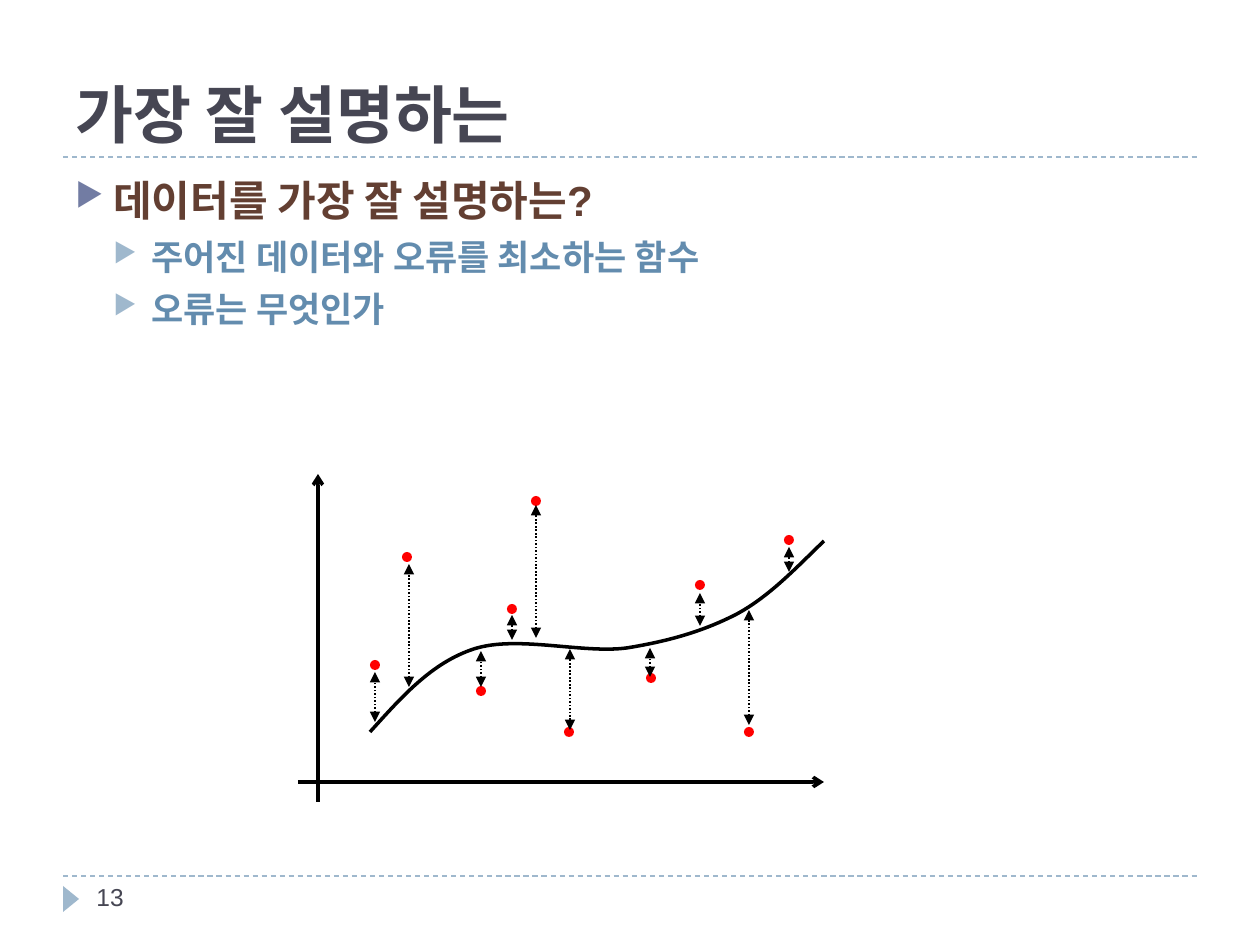
from lxml import etree
from pptx import Presentation
from pptx import util as u
from pptx.dml.color import RGBColor
from pptx.enum import dml, shapes, text
from pptx.oxml import ns

PX = 914400 / 126
FONT = "Arial"
COLORS = {"title": "464653", "lead": "633F32", "sub": "638CAE", "bullet": "727CA3",
          "pale": "9FB8CD", "ink": "000000", "dot": "FF0000"}

TITLE = "가장 잘 설명하는"
PAGE_NUMBER = "13"
# text, level, size, colour, bullet colour, space before
BODY = [
    ("데이터를 가장 잘 설명하는?", 0, 24, "lead", "bullet", 0),
    ("주어진 데이터와 오류를 최소하는 함수", 1, 20, "sub", "pale", 6),
    ("오류는 무엇인가", 1, 20, "sub", "pale", 6),
]
INDENT = 38
RULES = [157, 876]
AXES = [(298, 782, 824, 782), (318, 802, 318, 474)]
DOT = 10
# dot centre x, y; error arrow x, bottom, top
POINTS = [
    (375, 665, 375, 722, 672), (407, 557, 409, 687, 564),
    (481, 691, 481, 687, 651), (512, 609, 512, 640, 615),
    (536, 501, 536, 638, 505), (569, 732, 570, 730, 649),
    (651, 678, 650, 677, 648), (700, 585, 700, 626, 593),
    (749, 732, 749, 725, 610), (789, 540, 789, 572, 547),
]
# start, then two control points and an end for each Bezier segment
CURVE = [(370, 732), (401, 698), (431, 663), (474, 649), (517, 635), (583, 654), (627, 648),
         (670, 641), (704, 631), (737, 614), (770, 596), (796, 568), (824, 541)]


def emu(*lengths):
    return [u.Emu(round(length * PX)) for length in lengths]


def rgb(name):
    return RGBColor.from_string(COLORS[name])


def add_element(parent, tag, **attributes):
    return etree.SubElement(parent, ns.qn(tag), attributes)


def style_font(para, size, color, bold=False):
    for span in para.runs:
        span.font.name, span.font.size, span.font.bold = FONT, u.Pt(size), bold
        span.font.color.rgb = rgb(color)


def add_line(page, ends, color, width, dash=None, head=None, tail=None):
    line = page.shapes.add_connector(shapes.MSO_CONNECTOR.STRAIGHT, *emu(*ends))
    line.line.color.rgb = rgb(color)
    line.line.width = u.Pt(width)
    if dash:
        line.line.dash_style = dash
    properties = line.line._get_or_add_ln()
    for tag, kind in (("a:headEnd", head), ("a:tailEnd", tail)):
        if kind:
            add_element(properties, tag, type=kind)
    add_element(line._element.spPr, "a:effectLst")


def add_solid(page, kind, place, color):
    shape = page.shapes.add_shape(kind, *emu(*place))
    shape.shadow.inherit = False
    shape.fill.solid()
    shape.fill.fore_color.rgb = rgb(color)
    shape.line.fill.background()
    return shape


def add_text_box(page, place):
    box = page.shapes.add_textbox(*emu(*place))
    box.text_frame.word_wrap = True
    return box.text_frame


def add_title(page):
    title = page.shapes.title
    title.left, title.top, title.width, title.height = emu(63, 21, 1134, 136)
    title.text_frame.text = TITLE
    title.text_frame.vertical_anchor = text.MSO_ANCHOR.BOTTOM
    para = title.text_frame.paragraphs[0]
    para.alignment = text.PP_ALIGN.LEFT
    style_font(para, 36, "title", bold=True)


def add_body(page):
    frame = add_text_box(page, (63, 168, 1134, 680))
    for i, (words, level, size, color, bullet, before) in enumerate(BODY):
        para = frame.add_paragraph() if i else frame.paragraphs[0]
        para.text = words
        para.level = level
        para.space_before = u.Pt(before)
        properties = para._p.get_or_add_pPr()
        margin, hang = emu(INDENT * (level + 1), -INDENT)
        properties.set("marL", str(margin))
        properties.set("indent", str(hang))
        add_element(add_element(properties, "a:buClr"), "a:srgbClr", val=COLORS[bullet])
        add_element(properties, "a:buSzPct", val="76000")
        add_element(properties, "a:buChar", char="▶")
        style_font(para, size, color, bold=True)


def add_curve(page):
    """Draw the fitted function, turning each three line segments into one Bezier."""
    start, *rest = [emu(*point) for point in CURVE]
    builder = page.shapes.build_freeform(*start)
    builder.add_line_segments(rest, close=False)
    curve = builder.convert_to_shape()
    curve.shadow.inherit = False
    curve.fill.background()
    curve.line.color.rgb = rgb("ink")
    curve.line.width = u.Pt(2)
    segments = list(curve._element.iter(ns.qn("a:lnTo")))
    outline = segments[0].getparent()
    for i in range(0, len(segments), 3):
        bezier = add_element(outline, "a:cubicBezTo")
        for segment in segments[i:i + 3]:
            bezier.append(segment[0])
            outline.remove(segment)


def main():
    deck = Presentation()
    deck.slide_width, deck.slide_height = u.Inches(10), u.Inches(7.5)
    page = deck.slides.add_slide(deck.slide_layouts[5])

    for y in reversed(RULES):
        add_line(page, (63, y, 1197, y), "pale", 0.75, dml.MSO_LINE.DASH)
    marker = add_solid(page, shapes.MSO_SHAPE.ISOSCELES_TRIANGLE, (58, 891, 26, 16), "pale")
    marker.rotation = 90
    add_title(page)
    number = add_text_box(page, (84, 876, 273, 50))
    number.text = PAGE_NUMBER
    style_font(number.paragraphs[0], 14, "title")
    add_body(page)

    for ends in AXES:
        add_line(page, ends, "ink", 2, tail="arrow")
    for x, y, *_ in POINTS:
        add_solid(page, shapes.MSO_SHAPE.OVAL, (x - DOT / 2, y - DOT / 2, DOT, DOT), "dot")
    add_curve(page)
    for _, _, x, bottom, top in POINTS:
        add_line(page, (x, bottom, x, top), "ink", 1, dml.MSO_LINE.ROUND_DOT,
                 head="triangle", tail="triangle")

    deck.save("out.pptx")


if __name__ == "__main__":
    main()
